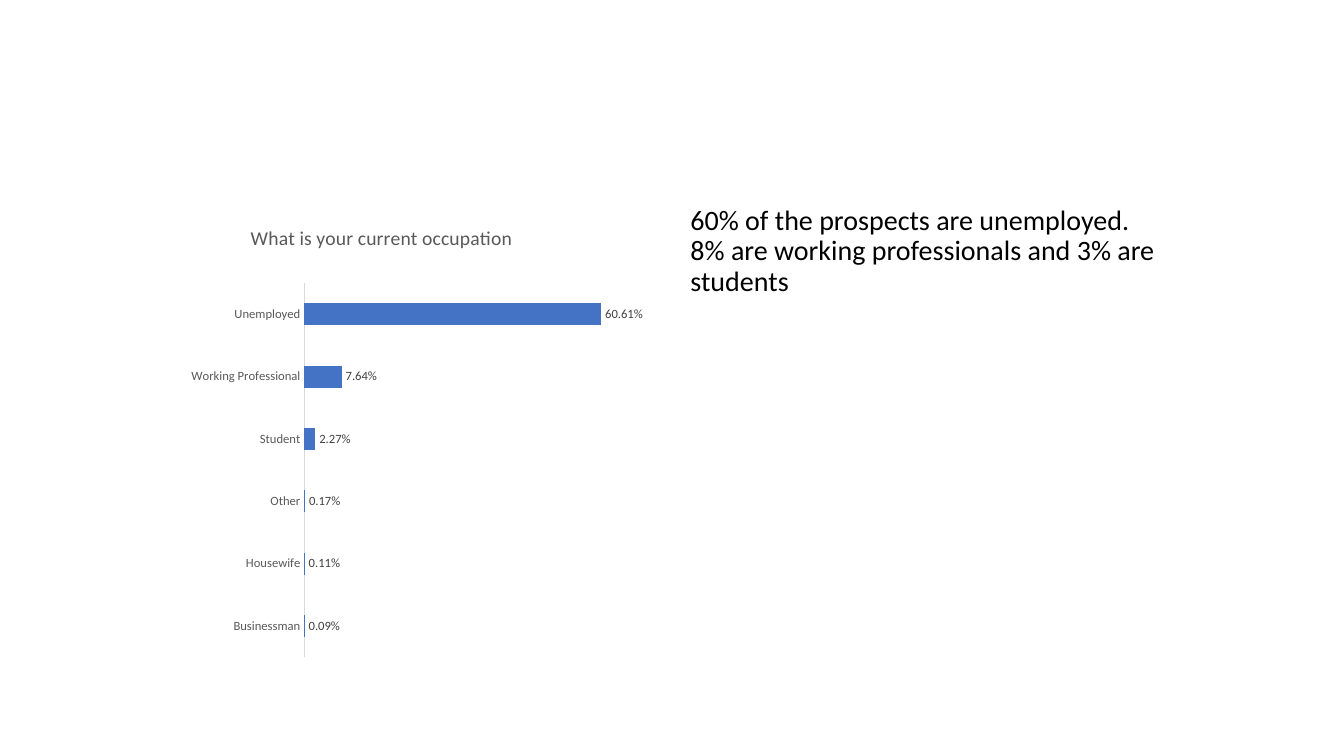
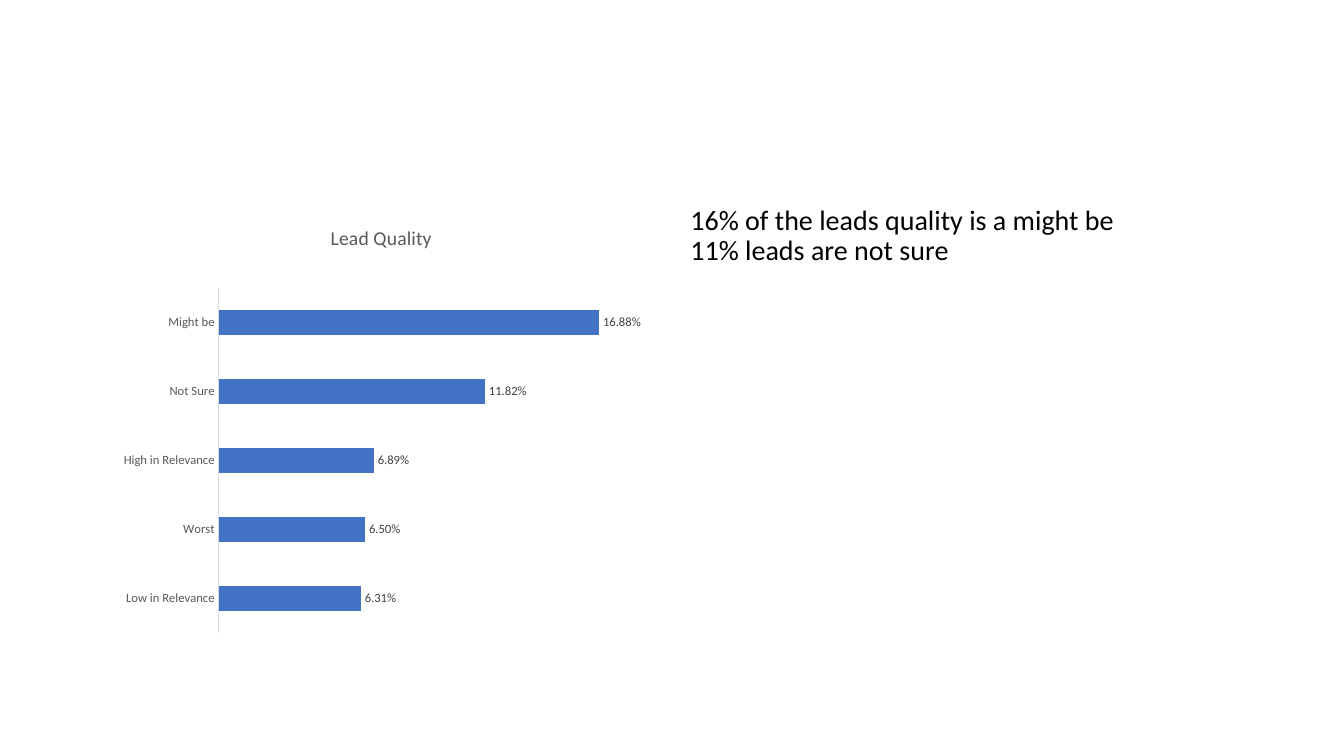
from lxml import etree
from pptx import Presentation, util as u
from pptx.chart.data import CategoryChartData
from pptx.dml.color import RGBColor
from pptx.enum import chart as c

THEME = {
    "bar": RGBColor.from_string("4472C4"),
    "axis_line": RGBColor.from_string("D9D9D9"),
    "title": {"name": "Calibri", "size": u.Pt(14), "bold": False, "color": "595959"},
    "body": {"name": "Calibri", "size": u.Pt(20), "color": "000000"},
    "chart": {"name": "Calibri", "size": u.Pt(10), "color": "000000"},
    "category": {"name": "Calibri", "size": u.Pt(9), "color": "595959"},
    "label": {"name": "Calibri", "size": u.Pt(9), "color": "404040"},
}
PERCENT = "0.00%"
TOP, WIDTH, HEIGHT = u.Inches(2), u.Inches(5.67), u.Inches(4.76)
CHART_LEFT, TEXT_LEFT = u.Inches(0.92), u.Inches(6.75)
CHART_NS = "http://schemas.openxmlformats.org/drawingml/2006/chart"

SLIDES = [
    {
        "title": "What is your current occupation",
        "title_left": 0.27,
        "lines": ["60% of the prospects are unemployed.",
                  "8% are working professionals and 3% are students"],
        "values": {"Businessman": 0.0009, "Housewife": 0.0011, "Other": 0.0017,
                   "Student": 0.0227, "Working Professional": 0.0764,
                   "Unemployed": 0.6061},
        "maximum": 0.7,
        "plot": {"x": 0.37, "y": 0.17, "w": 0.6, "h": 0.78},
    },
    {
        "title": "Lead Quality",
        "title_left": 0.41,
        "lines": ["16% of the leads quality is a might be",
                  "11% leads are not sure"],
        "values": {"Low in Relevance": 0.0631, "Worst": 0.065,
                   "High in Relevance": 0.0689, "Not Sure": 0.1182,
                   "Might be": 0.1688},
        "maximum": 0.18,
        "plot": {"x": 0.22, "y": 0.18, "w": 0.71, "h": 0.72},
    },
]


def style_font(font, style):
    for name, value in style.items():
        if name == "color":
            font.color.rgb = RGBColor.from_string(value)
        else:
            setattr(font, name, value)


def place_part(part, index, settings):
    for old_layout in part.findall(f"{{{CHART_NS}}}layout"):
        part.remove(old_layout)
    layout = etree.Element(f"{{{CHART_NS}}}layout")
    manual = etree.SubElement(layout, f"{{{CHART_NS}}}manualLayout")
    for name, value in settings.items():
        etree.SubElement(manual, f"{{{CHART_NS}}}{name}", val=str(value))
    part.insert(index, layout)


presentation = Presentation()
presentation.slide_width = u.Inches(13.33)
presentation.slide_height = u.Inches(7.5)

for content in SLIDES:
    slide = presentation.slides.add_slide(presentation.slide_layouts[6])

    text_frame = slide.shapes.add_textbox(TEXT_LEFT, TOP, WIDTH, HEIGHT).text_frame
    text_frame.word_wrap = True
    paragraph = text_frame.paragraphs[0]
    paragraph.text = "\v".join(content["lines"])
    paragraph.line_spacing = 0.9
    style_font(paragraph.font, THEME["body"])
    for run in paragraph.runs:
        style_font(run.font, THEME["body"])

    data = CategoryChartData(number_format=PERCENT)
    data.categories = list(content["values"])
    data.add_series("Series 1", list(content["values"].values()))
    chart = slide.shapes.add_chart(c.XL_CHART_TYPE.BAR_CLUSTERED, CHART_LEFT, TOP,
                                   WIDTH, HEIGHT, data).chart
    chart.has_legend = False
    style_font(chart.font, THEME["chart"])

    chart.has_title = True
    chart.chart_title.include_in_layout = False
    title_frame = chart.chart_title.text_frame
    title_frame.text = content["title"]
    style_font(title_frame.paragraphs[0].runs[0].font, THEME["title"])

    category_axis = chart.category_axis
    category_axis.major_tick_mark = c.XL_TICK_MARK.NONE
    category_axis.minor_tick_mark = c.XL_TICK_MARK.NONE
    category_axis.has_major_gridlines = False
    category_axis.format.line.color.rgb = THEME["axis_line"]
    category_axis.format.line.width = u.Pt(0.75)
    style_font(category_axis.tick_labels.font, THEME["category"])

    value_axis = chart.value_axis
    value_axis.visible = False
    value_axis.has_major_gridlines = False
    value_axis.minimum_scale = 0
    value_axis.maximum_scale = content["maximum"]

    plot = chart.plots[0]
    plot.gap_width = 182
    plot.vary_by_categories = False
    series = plot.series[0]
    series.format.fill.solid()
    series.format.fill.fore_color.rgb = THEME["bar"]
    labels = series.data_labels
    labels.show_value = True
    labels.position = c.XL_LABEL_POSITION.OUTSIDE_END
    labels.number_format = PERCENT
    labels.number_format_is_linked = False
    style_font(labels.font, THEME["label"])

    chart_element = chart._chartSpace.chart
    edges = {"xMode": "edge", "yMode": "edge"}
    place_part(chart_element.find(f"{{{CHART_NS}}}title"), 1,
               {**edges, "x": content["title_left"], "y": 0.04})
    place_part(chart_element.plotArea, 0,
               {"layoutTarget": "inner", **edges, **content["plot"]})

presentation.save("out.pptx")
